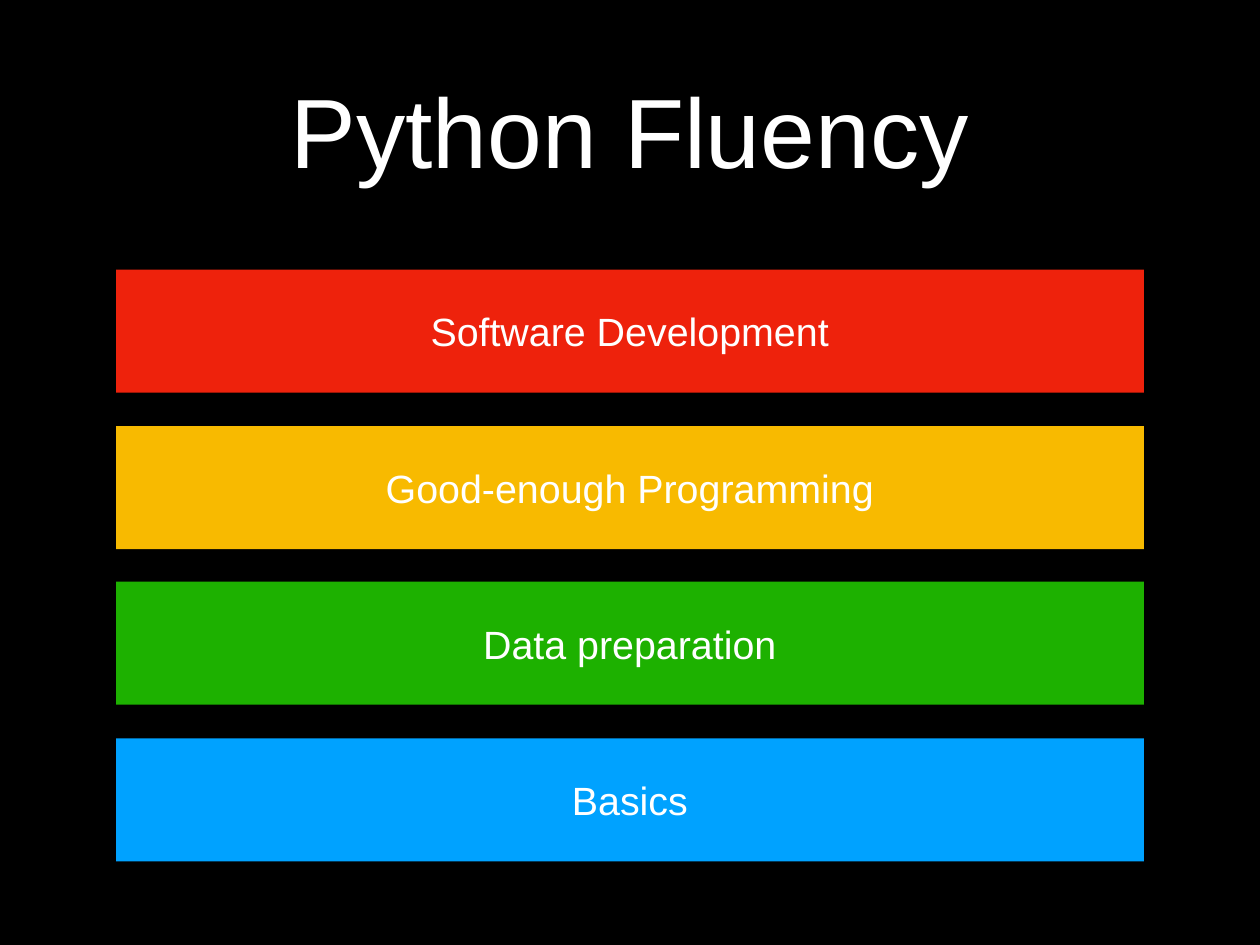
from dataclasses import dataclass

from pptx import Presentation
from pptx import util as u
from pptx.dml.color import RGBColor
from pptx.enum import shapes, text

PX = u.Inches(1) // 90
WIDE, HIGH = 1280, 960


@dataclass(frozen=True)
class Theme:
    font: str = "Arial"
    back: str = "000000"
    ink: str = "FFFFFF"
    red: str = "EE220C"
    gold: str = "F8BA00"
    green: str = "1DB100"
    blue: str = "00A2FF"
    head: int = 80
    body: int = 32
    inset: int = 5


class Deck:
    def __init__(self, theme):
        self.theme = theme
        self.file = Presentation()
        self.file.slide_width = WIDE * PX
        self.file.slide_height = HIGH * PX
        self.slide = None

    def page(self):
        """Add a title-only slide and make it current."""
        self.slide = self.file.slides.add_slide(self.file.slide_layouts[5])
        self.paint(self.slide.background.fill, self.theme.back)

    def paint(self, fill, color):
        fill.solid()
        fill.fore_color.rgb = RGBColor.from_string(color)

    def label(self, shape, words, size):
        """Set centred text in the theme's font and ink."""
        frame = shape.text_frame
        frame.text = words
        pad = self.theme.inset * PX
        form = {
            "margin_left": pad,
            "margin_top": pad,
            "margin_right": pad,
            "margin_bottom": pad,
            "word_wrap": True,
            "auto_size": text.MSO_AUTO_SIZE.NONE,
            "vertical_anchor": text.MSO_ANCHOR.MIDDLE,
        }
        for key, value in form.items():
            setattr(frame, key, value)
        line = frame.paragraphs[0]
        line.alignment = text.PP_ALIGN.CENTER
        font = line.runs[0].font
        for key, value in {"name": self.theme.font, "size": u.Pt(size)}.items():
            setattr(font, key, value)
        font.color.rgb = RGBColor.from_string(self.theme.ink)

    def title(self, words, left, top, width, height):
        shape = self.slide.shapes.title
        place = {"left": left, "top": top, "width": width, "height": height}
        for key, value in place.items():
            setattr(shape, key, value * PX)
        self.label(shape, words, self.theme.head)

    def bar(self, words, color, left, top, width, height):
        box = [side * PX for side in (left, top, width, height)]
        shape = self.slide.shapes.add_shape(shapes.MSO_SHAPE.RECTANGLE, *box)
        shape.shadow.inherit = False
        shape.line.fill.background()
        self.paint(shape.fill, color)
        self.label(shape, words, self.theme.body)


def main():
    theme = Theme()
    deck = Deck(theme)
    deck.page()
    deck.title("Python Fluency", 94, 25, 1092, 212)

    levels = [
        ("Software Development", theme.red),
        ("Good-enough Programming", theme.gold),
        ("Data preparation", theme.green),
        ("Basics", theme.blue),
    ]
    first, last = 274, 750
    step = (last - first) / (len(levels) - 1)
    for row, (words, color) in enumerate(levels):
        deck.bar(words, color, 118, round(first + row * step), 1044, 125)

    deck.file.save("out.pptx")


if __name__ == "__main__":
    main()
